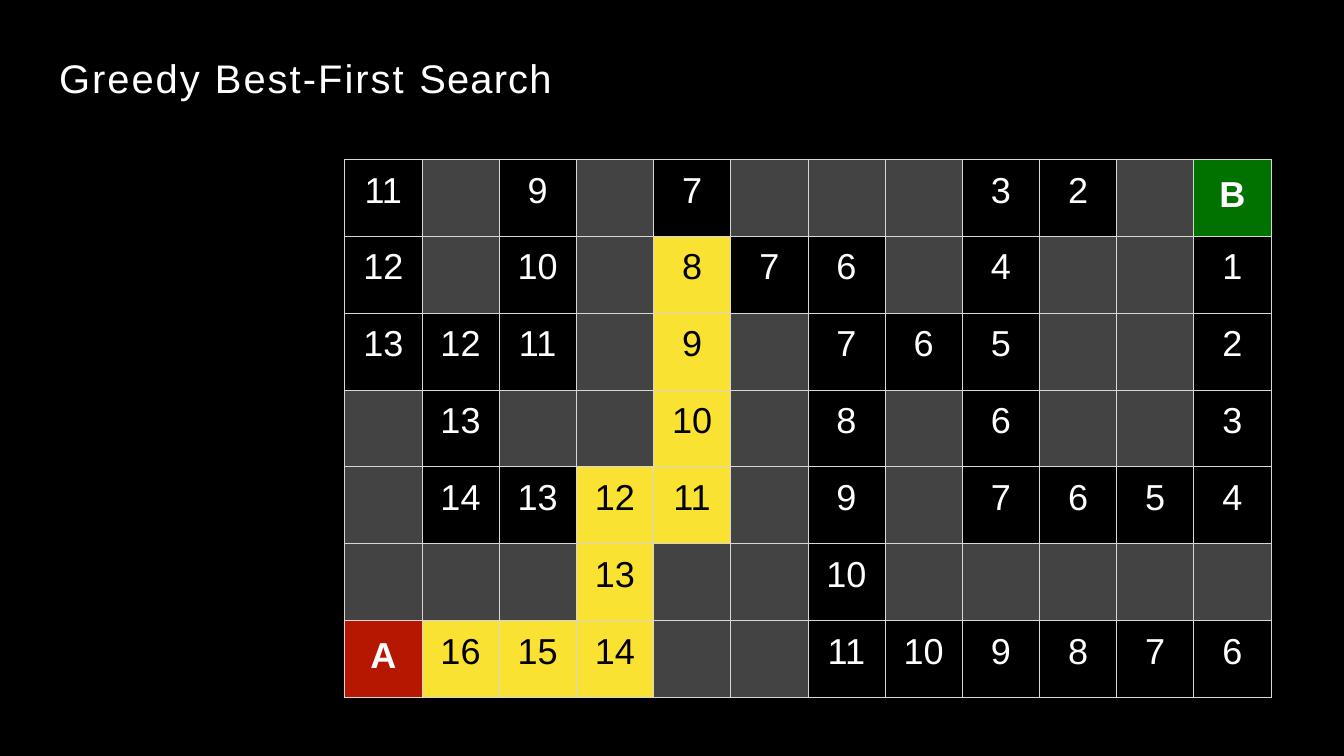
from lxml.etree import SubElement
from pptx import Presentation
from pptx.dml.color import RGBColor
from pptx.enum.text import MSO_ANCHOR, PP_ALIGN
from pptx.oxml.ns import qn
from pptx.util import Emu, Pt

EMU_PER_PX = 9144  # 100 px to the inch
PAGE_WIDTH, PAGE_HEIGHT = 2199, 1237

BLACK = RGBColor(0x00, 0x00, 0x00)
WHITE = RGBColor(0xFF, 0xFF, 0xFF)
WALL = RGBColor(0x43, 0x43, 0x43)
PATH = RGBColor(0xFA, 0xE2, 0x32)
START = RGBColor(0xB5, 0x17, 0x00)
GOAL = RGBColor(0x01, 0x71, 0x00)
BORDER = RGBColor(0xD6, 0xD7, 0xD6)

# Words of the title with their letter spacing in hundredths of a point
TITLE = [("Greedy ", 230), ("Best-First ", 240), ("Search", 140)]

# Distance to the goal: # is a wall, * marks the path taken
MAZE = """
11  #   9   #   7   #   #   #   3   2   #   B
12  #   10  #   8*  7   6   #   4   #   #   1
13  12  11  #   9*  #   7   6   5   #   #   2
#   13  #   #   10* #   8   #   6   #   #   3
#   14  13  12* 11* #   9   #   7   6   5   4
#   #   #   13* #   #   10  #   #   #   #   #
A   16* 15* 14* #   #   11  10  9   8   7   6
"""


def px(length):
    return Emu(length * EMU_PER_PX)


def set_all(target, values):
    for name, value in values.items():
        setattr(target, name, value)


class Slide:
    """Holds the shared style and the current page."""

    font = "Arial"
    title_size = Pt(47)
    cell_size = Pt(42.5)

    def __init__(self, deck):
        self.page = deck.slides.add_slide(deck.slide_layouts[6])

    def background(self, colour):
        fill = self.page.background.fill
        fill.solid()
        fill.fore_color.rgb = colour

    def add_span(self, para, text, size, colour, bold=False, spacing=0):
        span = para.add_run()
        span.text = text
        set_all(span.font, {"name": self.font, "size": size, "bold": bold})
        span.font.color.rgb = colour
        if spacing:
            span.font._element.set("spc", str(spacing))

    def title(self, words, left, top, width, height):
        box = self.page.shapes.add_textbox(*map(px, (left, top, width, height)))
        frame = box.text_frame
        set_all(frame, {"word_wrap": True, "margin_left": px(1), "margin_top": px(1),
                        "margin_right": 0, "margin_bottom": 0})
        para = frame.paragraphs[0]
        para.space_before = Pt(1)
        for text, spacing in words:
            self.add_span(para, text, self.title_size, WHITE, spacing=spacing)

    def maze(self, rows, left, top, width, height):
        frame = self.page.shapes.add_table(
            len(rows), len(rows[0]), *map(px, (left, top, width, height)))
        table = frame.table
        set_all(table, {"first_row": False, "horz_banding": False})
        for column in table.columns:
            column.width = px(width) // len(rows[0])
        for line in table.rows:
            line.height = px(height) // len(rows)
        for row, marks in enumerate(rows):
            for column, mark in enumerate(marks):
                self.cell(table.cell(row, column), mark)

    def cell(self, cell, mark):
        on_path = mark.endswith("*")
        is_end = mark in ("A", "B")
        ground = PATH if on_path else {"#": WALL, "A": START, "B": GOAL}.get(mark, BLACK)
        set_all(cell, {"margin_left": 0, "margin_right": 0, "margin_bottom": 0,
                       "margin_top": px(26 if is_end else 18),
                       "vertical_anchor": MSO_ANCHOR.TOP})
        self.borders(cell)
        cell.fill.solid()
        cell.fill.fore_color.rgb = ground
        if mark != "#":
            para = cell.text_frame.paragraphs[0]
            para.alignment = PP_ALIGN.CENTER
            self.add_span(para, mark.rstrip("*"), self.cell_size,
                          BLACK if on_path else WHITE, bold=is_end)

    def borders(self, cell):
        properties = cell._tc.get_or_add_tcPr()
        for side in ("a:lnL", "a:lnR", "a:lnT", "a:lnB"):
            line = SubElement(properties, qn(side), w=str(Pt(1)))
            fill = SubElement(line, qn("a:solidFill"))
            SubElement(fill, qn("a:srgbClr"), val=str(BORDER))


def main():
    deck = Presentation()
    set_all(deck, {"slide_width": px(PAGE_WIDTH), "slide_height": px(PAGE_HEIGHT)})
    slide = Slide(deck)
    slide.background(BLACK)

    # Maze with the distances and the path
    slide.maze([line.split() for line in MAZE.strip().splitlines()], 564, 261, 1516, 880)

    # Heading
    slide.title(TITLE, 96, 86, 807, 81)

    deck.save("out.pptx")


if __name__ == "__main__":
    main()
